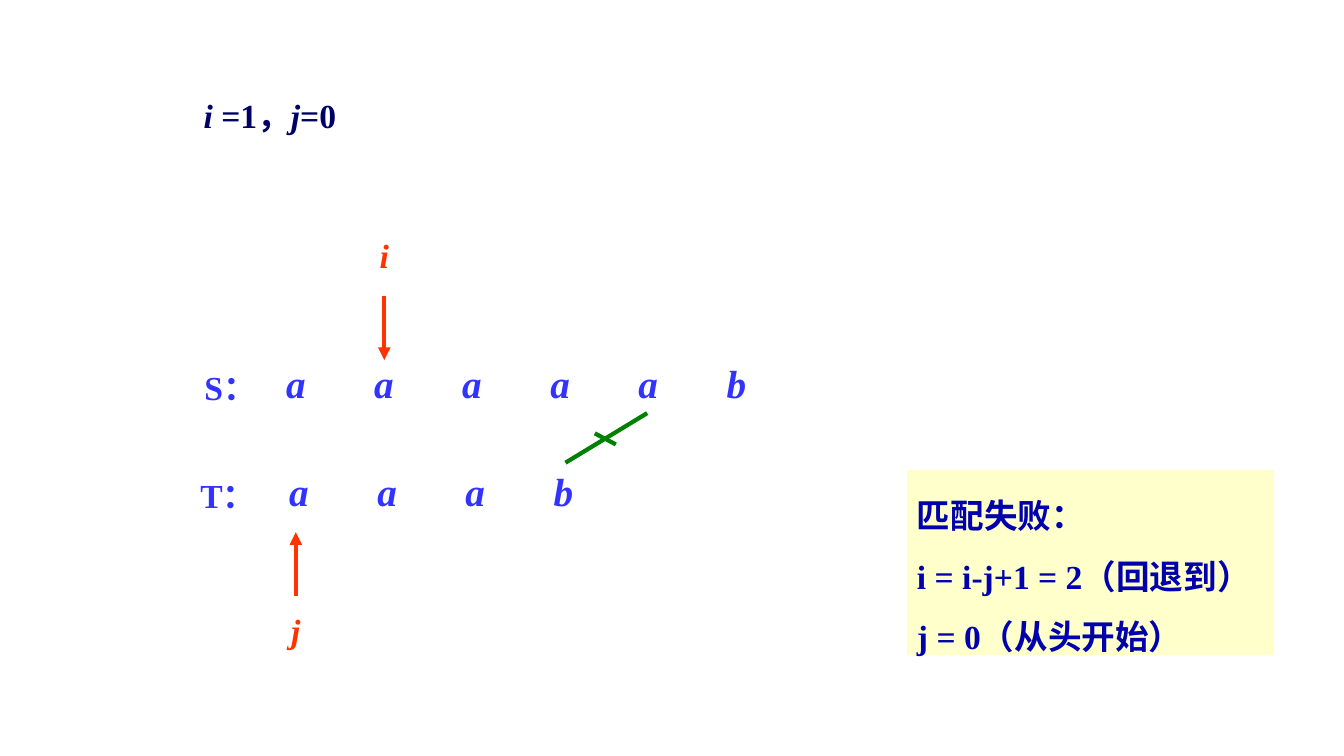
from dataclasses import dataclass

from lxml import etree
from pptx import Presentation
from pptx import util as u
from pptx.dml.color import RGBColor
from pptx.enum import shapes, text
from pptx.oxml import ns


@dataclass(frozen=True)
class Theme:
    """Colours, type sizes and line weight of the slide."""
    font: str = "Times New Roman"
    heading: str = "000066"
    symbol: str = "3333FF"
    pointer: str = "FF3300"
    mismatch: str = "008000"
    note: str = "0000AD"
    note_fill: str = "FFFFCC"
    body_size: int = 24
    symbol_size: int = 28
    line_width: int = 3


THEME = Theme()
SYMBOL_PITCH = 2.22


def apply_format(target, values):
    """Set each named attribute on the target."""
    for name, value in values.items():
        setattr(target, name, value)


def write_text(shape, paragraphs, color, size=THEME.body_size, **paragraph_format):
    """Fill a shape with paragraphs, each a list of (words, italic) runs."""
    frame = shape.text_frame
    apply_format(frame, {"word_wrap": True, "vertical_anchor": text.MSO_ANCHOR.TOP,
                         "auto_size": text.MSO_AUTO_SIZE.SHAPE_TO_FIT_TEXT})
    for index, runs in enumerate(paragraphs):
        paragraph = frame.add_paragraph() if index else frame.paragraphs[0]
        apply_format(paragraph, {"alignment": text.PP_ALIGN.LEFT, **paragraph_format})
        for words, italic in runs:
            run = paragraph.add_run()
            run.text = words
            apply_format(run.font, {"name": THEME.font, "size": u.Pt(size),
                                    "bold": True, "italic": italic})
            run.font.color.rgb = RGBColor.from_string(color)


def add_text(slide, box, runs, color, size=THEME.body_size, **paragraph_format):
    """Place a one-paragraph text box and return it."""
    shape = slide.shapes.add_textbox(*map(u.Cm, box))
    write_text(shape, [runs], color, size, **paragraph_format)
    return shape


def add_line(slide, start, end, color, arrow=False):
    """Draw a straight line, with an arrowhead at its end if asked."""
    line = slide.shapes.add_connector(shapes.MSO_CONNECTOR.STRAIGHT,
                                      *map(u.Cm, (*start, *end)))
    line.line.color.rgb = RGBColor.from_string(color)
    line.line.width = u.Pt(THEME.line_width)
    if arrow:
        etree.SubElement(line.line._get_or_add_ln(), ns.qn("a:tailEnd"), type="triangle")
    etree.SubElement(line._element.spPr, ns.qn("a:effectLst"))


def add_string_row(slide, box, symbols, label, label_box):
    """Place a labelled string with its symbols on equal tab stops."""
    row = add_text(slide, box, [("\t".join(symbols), True)],
                   THEME.symbol, THEME.symbol_size)
    properties = row.text_frame.paragraphs[0]._p.get_or_add_pPr()
    tabs = etree.SubElement(properties, ns.qn("a:tabLst"))
    for index in range(1, len(symbols)):
        etree.SubElement(tabs, ns.qn("a:tab"), algn="l",
                         pos=str(u.Cm(SYMBOL_PITCH * index)))
    add_text(slide, label_box, [(label, False)], THEME.symbol)


def add_pointer(slide, box, name, arrow_start, arrow_end):
    """Place an index name, with an arrow between offsets from the box top."""
    left, top, width, height = box
    center = left + width / 2
    add_text(slide, box, [(name, True)], THEME.pointer, alignment=text.PP_ALIGN.CENTER)
    add_line(slide, (center, top + arrow_start), (center, top + arrow_end),
             THEME.pointer, arrow=True)


def add_mismatch(slide, box):
    """Draw a rising line across the box, struck through by a short tick."""
    left, top, width, height = box
    add_line(slide, (left + width, top), (left, top + height), THEME.mismatch)
    add_line(slide, (left + 0.74, top + 0.51), (left + 1.27, top + 0.79), THEME.mismatch)


def add_note(slide, box, lines):
    """Place the filled note that tells the next step."""
    note = slide.shapes.add_shape(shapes.MSO_SHAPE.RECTANGLE, *map(u.Cm, box))
    note.shadow.inherit = False
    note.fill.solid()
    note.fill.fore_color.rgb = RGBColor.from_string(THEME.note_fill)
    note.line.fill.background()
    write_text(note, [[(line, False)] for line in lines], THEME.note, line_spacing=1.5)


def build_matching_slide(presentation):
    """Build the slide on one failed step of string matching."""
    slide = presentation.slides.add_slide(presentation.slide_layouts[6])
    add_text(slide, (4.88, 2.54, 5.94, 0.99),
             [("i ", True), ("=1，", False), ("j", True), ("=0", False)],
             THEME.heading, line_spacing=0.7)
    add_string_row(slide, (6.96, 8.92, 16.03, 1.45), "aaaaab", "S：", (4.9, 9.12, 2.06, 1.27))
    add_string_row(slide, (7.04, 11.66, 10.62, 1.45), "aaab", "T：", (4.8, 11.84, 2.16, 1.27))
    add_pointer(slide, (9.09, 5.79, 1.19, 1.27), "i", 1.68, 3.28)
    add_pointer(slide, (6.86, 15.24, 1.19, 1.27), "j", -0.23, -1.83)
    add_mismatch(slide, (14.25, 10.41, 2.06, 1.25))
    add_note(slide, (22.86, 11.84, 9.25, 4.67),
             ["匹配失败：", "i = i-j+1 = 2（回退到）", "j = 0（从头开始）"])


def main():
    """Create the presentation and save it."""
    presentation = Presentation()
    apply_format(presentation, {"slide_width": u.Cm(33.87), "slide_height": u.Cm(19.05)})
    build_matching_slide(presentation)
    presentation.save("out.pptx")


if __name__ == "__main__":
    main()
